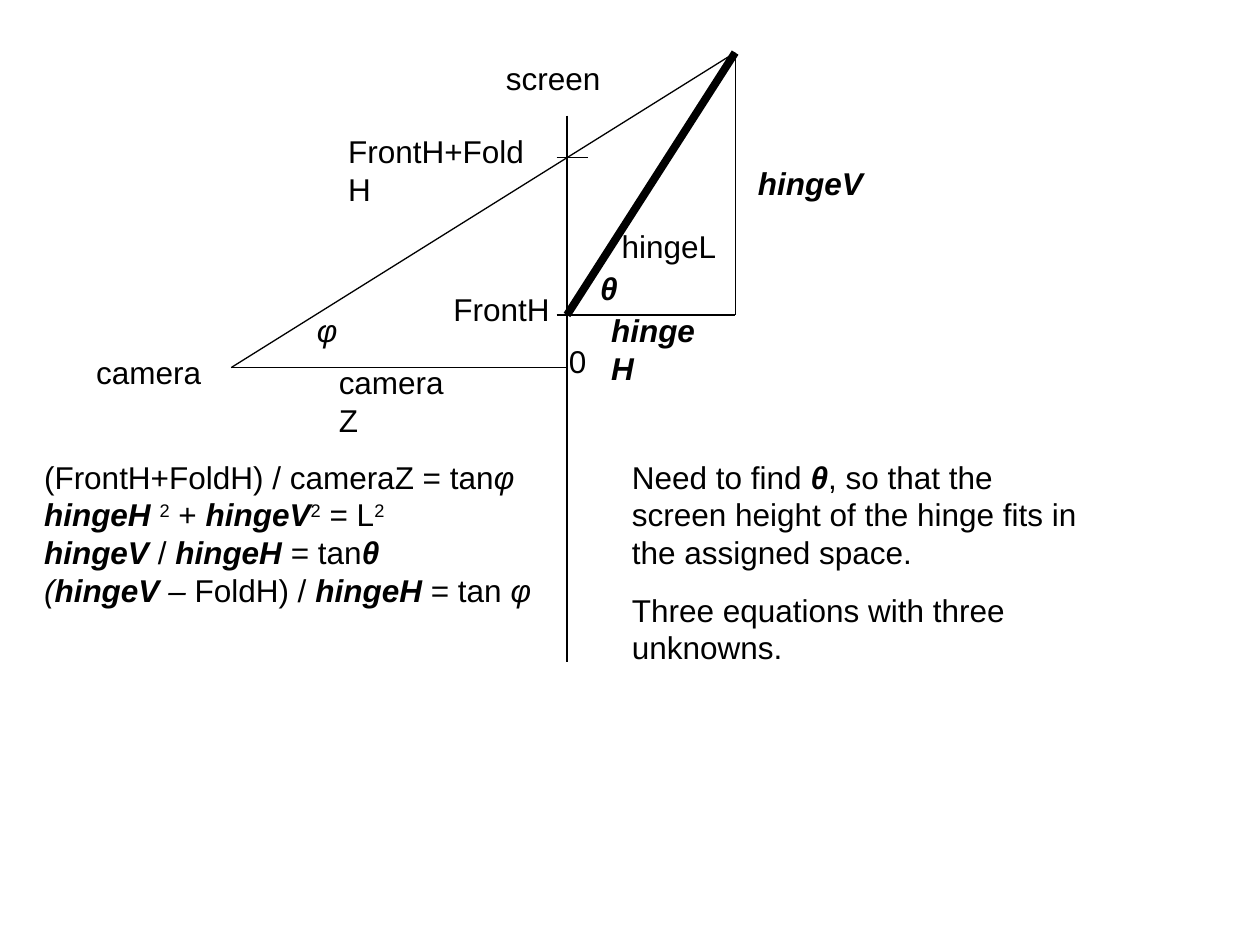
from dataclasses import dataclass

from lxml import etree
from pptx import Presentation
from pptx.dml.color import RGBColor
from pptx.enum.shapes import MSO_CONNECTOR
from pptx.enum.text import MSO_AUTO_SIZE
from pptx.oxml.ns import qn
from pptx.slide import Slide
from pptx.util import Cm, Pt

STRAIGHT = MSO_CONNECTOR.STRAIGHT
FIT_SHAPE = MSO_AUTO_SIZE.SHAPE_TO_FIT_TEXT
FONT = "Arial"
BLACK = "000000"
LABEL_HEIGHT = 1.02

CAMERA_X, SCREEN_X, HINGE_X = 4.66, 11.43, 14.82
TICK_X = 11.22
TOP_Y, FOLD_Y, FRONT_Y, CAMERA_Y = 1.06, 3.18, 6.35, 7.41


@dataclass
class Span:
    text: str
    bold: bool = False
    italic: bool = False
    superscript: bool = False


@dataclass
class TextBlock:
    left: float
    top: float
    width: float
    paragraphs: list[list[Span]]
    height: float = LABEL_HEIGHT
    wrap: bool = False
    gap: float = 0


@dataclass
class Segment:
    start: tuple[float, float]
    end: tuple[float, float]
    weight: float = 0.75


def color(value: str) -> RGBColor:
    return RGBColor.from_string(value)


def unknown(text: str) -> Span:
    return Span(text, bold=True, italic=True)


def label(left: float, top: float, width: float, span: Span, wrap: bool = False) -> TextBlock:
    return TextBlock(left, top, width, [[span]], wrap=wrap)


def draw_segment(slide: Slide, segment: Segment) -> None:
    points = [Cm(value) for value in (*segment.start, *segment.end)]
    connector = slide.shapes.add_connector(STRAIGHT, *points)
    connector.line.color.rgb = color(BLACK)
    connector.line.width = Pt(segment.weight)
    etree.SubElement(connector._element.spPr, qn("a:effectLst"))


def draw_text(slide: Slide, block: TextBlock) -> None:
    shape = slide.shapes.add_textbox(
        Cm(block.left), Cm(block.top), Cm(block.width), Cm(block.height)
    )
    text_frame = shape.text_frame
    text_frame.word_wrap = block.wrap
    text_frame.auto_size = FIT_SHAPE
    for index, spans in enumerate(block.paragraphs):
        paragraph = text_frame.add_paragraph() if index else text_frame.paragraphs[0]
        paragraph.space_before = Pt(block.gap if index else 0)
        for span in spans:
            run = paragraph.add_run()
            run.text = span.text
            run.font.name = FONT
            run.font.size = Pt(18)
            run.font.bold = span.bold
            run.font.italic = span.italic
            run.font.color.rgb = color(BLACK)
            if span.superscript:
                run._r.get_or_add_rPr().set("baseline", "30000")


PHI = Span("φ", italic=True)
THETA = unknown("θ")
HINGE_H = unknown("hingeH")
HINGE_V = unknown("hingeV")
SQUARED = Span("2", superscript=True)

SEGMENTS = [
    Segment((CAMERA_X, CAMERA_Y), (SCREEN_X, CAMERA_Y)),
    Segment((SCREEN_X, 2.33), (SCREEN_X, 13.34)),
    Segment((TICK_X, FOLD_Y), (11.85, FOLD_Y)),
    Segment((TICK_X, FRONT_Y), (HINGE_X, FRONT_Y)),
    Segment((CAMERA_X, CAMERA_Y), (HINGE_X, TOP_Y)),
    Segment((SCREEN_X, FRONT_Y), (HINGE_X, TOP_Y), weight=4.5),
    Segment((HINGE_X, TOP_Y), (HINGE_X, FRONT_Y)),
]

LABELS = [
    label(1.69, 6.99, 2.75, Span("camera"), wrap=True),
    label(9.95, 1.06, 2.75, Span("screen"), wrap=True),
    label(12.28, 4.45, 2.75, Span("hingeL"), wrap=True),
    label(15.03, 3.18, 3.18, HINGE_V, wrap=True),
    label(12.07, 6.14, 2.64, HINGE_H),
    label(6.58, 7.2, 3, Span("cameraZ")),
    label(11.22, 6.77, 0.86, Span("0")),
    label(6.14, 6.14, 0.91, PHI),
    label(11.85, 5.29, 0.86, THETA),
    label(6.77, 2.54, 4.5, Span("FrontH+FoldH")),
    label(8.89, 5.72, 2.44, Span("FrontH")),
]

EQUATIONS = TextBlock(
    0.64, 9.1, 11.43,
    [
        [Span("(FrontH+FoldH) / cameraZ = tan"), PHI],
        [unknown("hingeH "), SQUARED, Span(" + "), HINGE_V, SQUARED, Span(" = L"), SQUARED],
        [HINGE_V, Span(" / "), HINGE_H, Span(" = tan"), THETA],
        [
            Span("(", italic=True), HINGE_V, Span(" – ", italic=True),
            Span("FoldH) / "), HINGE_H, Span(" = tan "), PHI,
        ],
    ],
    height=4.83, wrap=True,
)

GOAL = TextBlock(
    12.49, 9.1, 9.53,
    [
        [
            Span("Need to find "), THETA,
            Span(", so that the screen height of the hinge fits in the assigned space."),
        ],
        [Span("Three equations with three unknowns.")],
    ],
    height=4.47, wrap=True, gap=11.2,
)


def main() -> None:
    presentation = Presentation()
    presentation.slide_width = Cm(25.4)
    presentation.slide_height = Cm(19.05)
    slide = presentation.slides.add_slide(presentation.slide_layouts[6])
    for segment in SEGMENTS:
        draw_segment(slide, segment)
    for block in [*LABELS, EQUATIONS, GOAL]:
        draw_text(slide, block)
    presentation.save("out.pptx")


if __name__ == "__main__":
    main()
